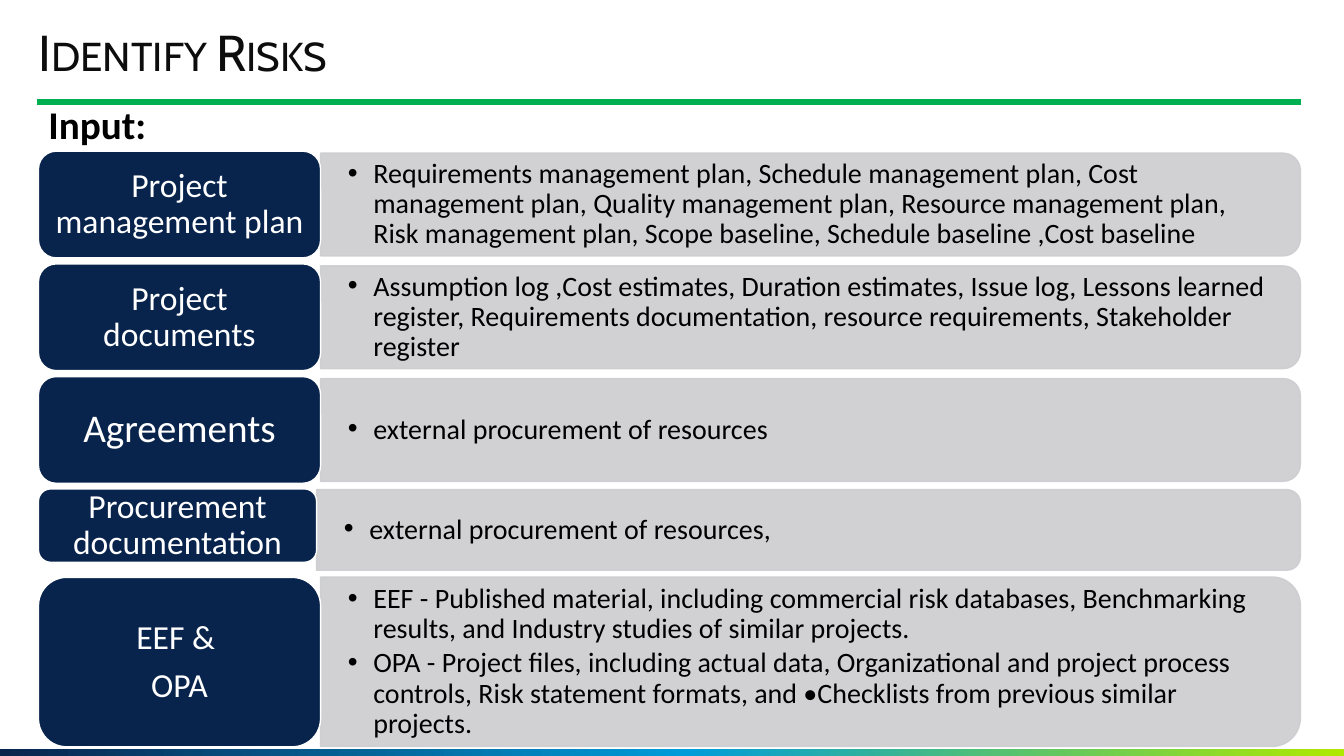
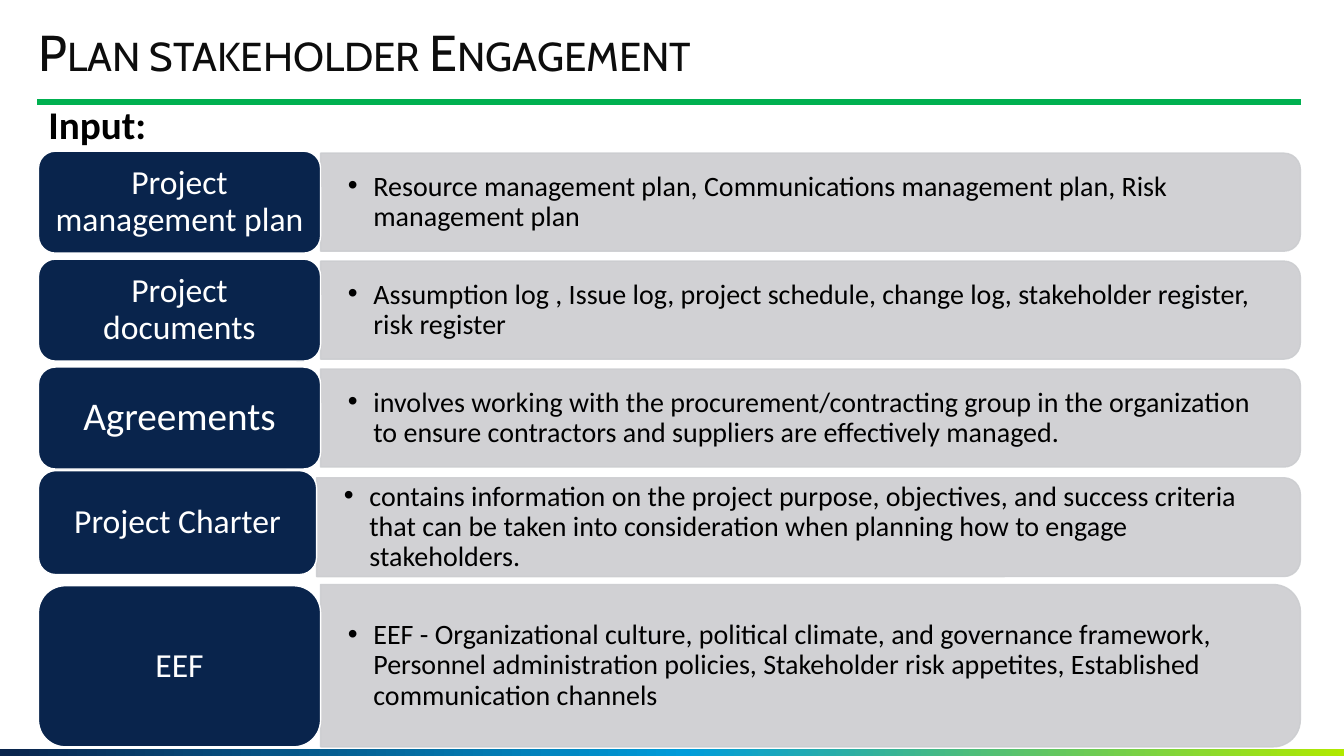
from copy import deepcopy
from dataclasses import dataclass

from lxml.etree import SubElement
from pptx import Presentation
from pptx.dml.color import RGBColor
from pptx.enum.shapes import MSO_CONNECTOR as Connector, MSO_SHAPE as Shape
from pptx.enum.text import MSO_ANCHOR as Anchor, MSO_AUTO_SIZE as AutoSize, PP_ALIGN as Align
from pptx.oxml.ns import qn
from pptx.util import Cm, Pt

# Shared style
NAVY, GREEN, GREY = "09244C", "00B050", "CCCDD0"
WHITE, BLACK, TITLE_COLOR = "FFFFFF", "000000", "0D0D0D"
BAND_STOPS = [(0, NAVY), (0.51, "009CDA"), (1, "B0E900")]
TITLE_FONT, BODY_FONT = "Cabin", "Calibri"
SLIDE_WIDTH, SLIDE_HEIGHT = 33.87, 19.05

# Row grid, in centimetres
LEFT, RIGHT, FIRST_TOP = 0.97, 32.77, 3.81
LABEL_WIDTH, NARROW_LABEL = 7.11, 7.01


@dataclass
class Row:
    label: list
    bullets: list
    label_top: float
    label_height: float
    panel_top: float
    panel_height: float
    label_width: float = LABEL_WIDTH
    label_size: int = 24


def color(hex_code):
    return RGBColor.from_string(hex_code)


def add_text(paragraph, text, size, hex_code, font=BODY_FONT, bold=False):
    paragraph.line_spacing = 0.9
    run = paragraph.add_run()
    run.text = text
    run.font.name = font
    run.font.size = Pt(size)
    run.font.bold = bold
    run.font.color.rgb = color(hex_code)
    return run


def set_bullet(paragraph, character=None, indent=0.0):
    properties = paragraph._p.get_or_add_pPr()
    properties.set("marL", str(Cm(indent)))
    properties.set("indent", str(-Cm(indent)))
    if character:
        SubElement(properties, qn("a:buFont"), typeface="Arial")
        SubElement(properties, qn("a:buChar"), char=character)
    else:
        SubElement(properties, qn("a:buNone"))


def set_frame(frame, anchor, left=0.25, top=0.0, right=0.25, bottom=0.0):
    frame.word_wrap = True
    frame.auto_size = AutoSize.NONE
    frame.vertical_anchor = anchor
    frame.margin_left, frame.margin_right = Cm(left), Cm(right)
    frame.margin_top, frame.margin_bottom = Cm(top), Cm(bottom)


def place(shape, left, top, width, height):
    shape.left, shape.top = Cm(left), Cm(top)
    shape.width, shape.height = Cm(width), Cm(height)


def frame_paragraphs(frame, count, gap):
    """Return count paragraphs, with a gap only between them."""
    paragraphs = [frame.paragraphs[0]]
    for _ in range(count - 1):
        paragraph = frame.add_paragraph()
        paragraph.space_before = Pt(gap)
        paragraphs.append(paragraph)
    return paragraphs


def add_box(slide, kind, left, top, width, height, fill, line):
    shape = slide.shapes.add_shape(kind, Cm(left), Cm(top), Cm(width), Cm(height))
    shape.shadow.inherit = False
    shape.fill.solid()
    shape.fill.fore_color.rgb = color(fill)
    shape.line.color.rgb = color(line)
    shape.line.width = Pt(1)
    return shape


def add_band(slide, left, top, width, height):
    band = slide.shapes.add_shape(Shape.RECTANGLE, Cm(left), Cm(top), Cm(width), Cm(height))
    band.shadow.inherit = False
    band.line.fill.background()
    band.fill.gradient()
    band.fill.gradient_angle = 0
    stop_list = band._element.spPr.find(".//" + qn("a:gsLst"))
    stop_list.append(deepcopy(stop_list[0]))
    for stop, (position, hex_code) in zip(band.fill.gradient_stops, BAND_STOPS):
        stop.position = position
        stop.color.rgb = color(hex_code)


def add_title_rule(slide, left, right, top):
    rule = slide.shapes.add_connector(Connector.STRAIGHT, Cm(left), Cm(top), Cm(right), Cm(top))
    rule.line.color.rgb = color(GREEN)
    rule.line.width = Pt(4.5)
    SubElement(rule._element.spPr, qn("a:effectLst"))


def fill_header(slide, title_text, heading_text):
    # Title in small capitals
    title = slide.shapes.title
    place(title, LEFT, 0.69, 28.42, 1.4)
    set_frame(title.text_frame, Anchor.MIDDLE, left=0, right=0)
    paragraph = title.text_frame.paragraphs[0]
    paragraph.alignment = Align.LEFT
    run = add_text(paragraph, title_text, 36, TITLE_COLOR, TITLE_FONT)
    run._r.get_or_add_rPr().set("cap", "small")

    # Heading above the rows
    body = slide.placeholders[1]
    place(body, LEFT, 2.54, 31.83, 1.4)
    set_frame(body.text_frame, Anchor.TOP, top=0.13, bottom=0.13)
    paragraph = body.text_frame.paragraphs[0]
    set_bullet(paragraph)
    paragraph.space_before = Pt(0)
    add_text(paragraph, heading_text, 28, BLACK, bold=True)


def add_panel(slide, left, top, width, height, bullets):
    # Quarter turn puts the two round corners on the right
    panel = add_box(slide, Shape.ROUND_2_SAME_RECTANGLE,
                    left + (width - height) / 2, top + (height - width) / 2,
                    height, width, GREY, GREY)
    panel.rotation = 90
    for rgb in panel._element.spPr.iter(qn("a:srgbClr")):
        SubElement(rgb, qn("a:alpha"), val="90000")

    # Upright text over the panel
    box = slide.shapes.add_textbox(Cm(left), Cm(top), Cm(width), Cm(height))
    set_frame(box.text_frame, Anchor.MIDDLE, left=0.69, right=0.81)
    paragraphs = frame_paragraphs(box.text_frame, len(bullets), 3)
    for paragraph, text in zip(paragraphs, bullets):
        set_bullet(paragraph, "•", 0.64)
        add_text(paragraph, text, 20, BLACK)


def add_label(slide, left, top, width, height, lines, size):
    label = add_box(slide, Shape.ROUNDED_RECTANGLE, left, top, width, height, NAVY, WHITE)
    set_frame(label.text_frame, Anchor.MIDDLE)
    paragraphs = frame_paragraphs(label.text_frame, len(lines), 8.4)
    for paragraph, text in zip(paragraphs, lines):
        paragraph.alignment = Align.CENTER
        add_text(paragraph, text, size, WHITE)


def add_row(slide, row):
    panel_left = LEFT + row.label_width
    add_panel(slide, panel_left, row.panel_top, RIGHT - panel_left, row.panel_height, row.bullets)
    add_label(slide, LEFT, row.label_top, row.label_width, row.label_height,
              row.label, row.label_size)


def equal_rows(texts, pitch, height):
    """Lay out the common inputs at an equal pitch."""
    labels = [("Project management plan", 24), ("Project documents", 24), ("Agreements", 28)]
    rows = []
    for index, ((label, size), text) in enumerate(zip(labels, texts)):
        top = FIRST_TOP + index * pitch
        rows.append(Row([label], [text], top, height, top + 0.05, height - 0.1, label_size=size))
    return rows


def add_inputs_slide(presentation, title, rows):
    slide = presentation.slides.add_slide(presentation.slide_layouts[1])
    add_band(slide, 0, 18.87, SLIDE_WIDTH, 0.18)
    add_title_rule(slide, 0.94, 32.79, 2.57)
    fill_header(slide, title, "Input:")
    for row in rows:
        add_row(slide, row)


def main():
    presentation = Presentation()
    presentation.slide_width = Cm(SLIDE_WIDTH)
    presentation.slide_height = Cm(SLIDE_HEIGHT)

    # Risk inputs
    risk_rows = equal_rows([
        "Requirements management plan, Schedule management plan, Cost management plan, "
        "Quality management plan, Resource management plan, Risk management plan, "
        "Scope baseline, Schedule baseline ,Cost baseline",
        "Assumption log ,Cost estimates, Duration estimates, Issue log, Lessons learned "
        "register, Requirements documentation, resource requirements, Stakeholder register",
        "external procurement of resources",
    ], pitch=2.84, height=2.69)
    risk_rows += [
        Row(["Procurement documentation"], ["external procurement of resources,"],
            12.32, 1.85, 12.34, 2.03, NARROW_LABEL),
        Row(["EEF & ", "OPA"],
            ["EEF - Published material, including commercial risk databases, Benchmarking "
             "results, and Industry studies of similar projects.",
             "OPA - Project files, including actual data, Organizational and project process "
             "controls, Risk statement formats, and •Checklists from previous similar projects."],
            14.55, 4.27, 14.54, 4.27),
    ]
    add_inputs_slide(presentation, "Identify Risks", risk_rows)

    # Stakeholder inputs
    stakeholder_rows = equal_rows([
        "Resource management plan, Communications management plan, Risk management plan",
        "Assumption log , Issue log, project schedule, change log, stakeholder register, "
        "risk register",
        "involves working with the procurement/contracting group in the organization to "
        "ensure contractors and suppliers are effectively managed.",
    ], pitch=2.72, height=2.57)
    stakeholder_rows += [
        Row(["Project Charter"],
            ["contains information on the project purpose, objectives, and success criteria "
             "that can be taken into consideration when planning how to engage stakeholders."],
            11.86, 2.62, 12.04, 2.49, NARROW_LABEL),
        Row(["EEF"],
            ["EEF - Organizational culture, political climate, and governance framework, "
             "Personnel administration policies, Stakeholder risk appetites, Established "
             "communication channels"],
            14.76, 4.06, 14.73, 4.09),
    ]
    add_inputs_slide(presentation, "Plan stakeholder Engagement", stakeholder_rows)

    presentation.save("out.pptx")


if __name__ == "__main__":
    main()
